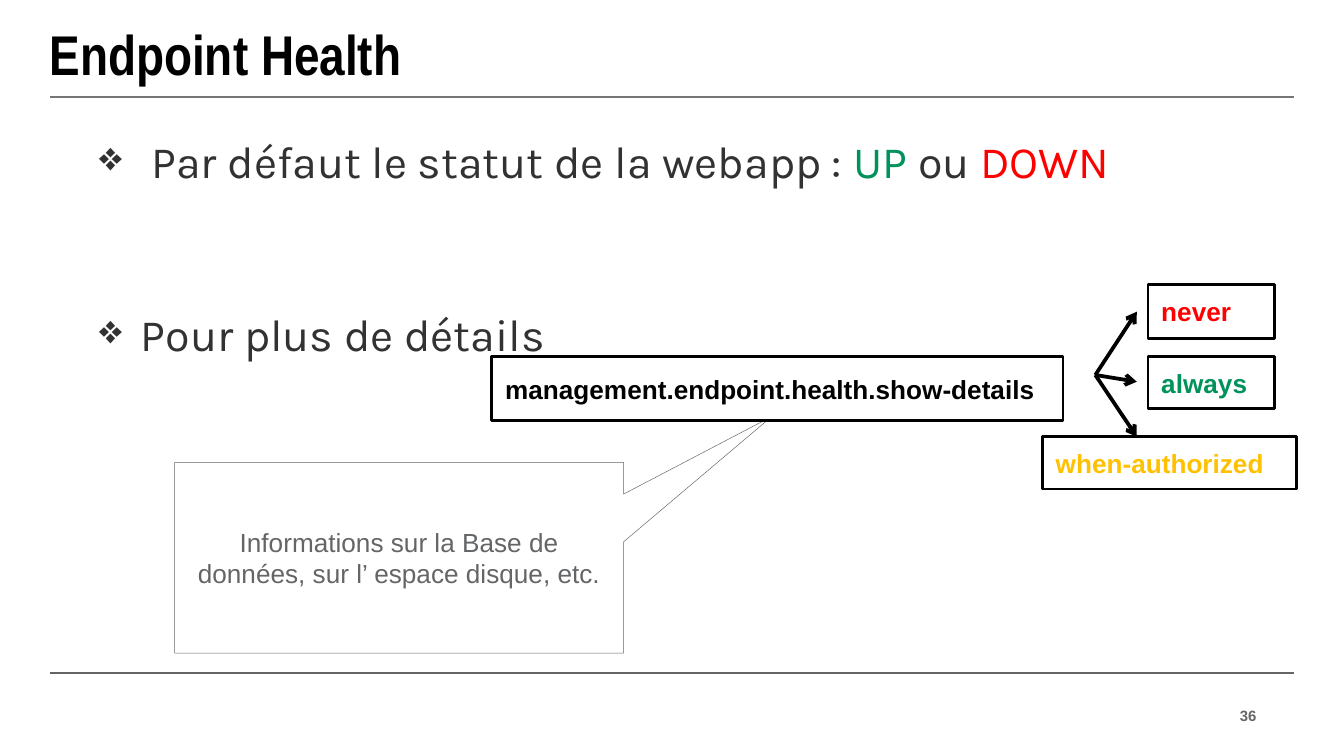
from lxml import etree
from pptx import Presentation
from pptx import util as u
from pptx.dml.color import RGBColor
from pptx.enum import shapes, text
from pptx.oxml.ns import qn

BLACK = RGBColor(0x00, 0x00, 0x00)
WHITE = RGBColor(0xFF, 0xFF, 0xFF)
INK = RGBColor(0x32, 0x32, 0x34)
GREY = RGBColor(0x64, 0x65, 0x67)
RULE_GREY = RGBColor(0x76, 0x76, 0x76)
GREEN = RGBColor(0x00, 0x92, 0x5B)
RED = RGBColor(0xFF, 0x00, 0x00)
AMBER = RGBColor(0xFF, 0xC0, 0x00)

LEFT, RIGHT = 26.6, 693.4


class SlideBuilder:
    body_font = "Karla"
    label_font = "Arial"
    title_font = "Arial Narrow"

    def __init__(self, deck):
        self.slide = deck.slides.add_slide(deck.slide_layouts[5])

    def span(self, para, wording, font, size, color, bold=False):
        run = para.add_run()
        run.text = wording
        run.font.name = font
        run.font.size = u.Pt(size)
        run.font.bold = bold
        run.font.color.rgb = color

    def frame(self, box, margin, wrap=True):
        """Set even margins and middle anchoring; return the first paragraph."""
        frame = box.text_frame
        frame.margin_left = frame.margin_right = u.Pt(margin)
        frame.margin_top = frame.margin_bottom = u.Pt(margin)
        frame.vertical_anchor = text.MSO_ANCHOR.MIDDLE
        frame.auto_size = text.MSO_AUTO_SIZE.NONE
        frame.word_wrap = wrap
        return frame.paragraphs[0]

    def title(self, wording):
        box = self.slide.shapes.title
        box.left, box.top = u.Pt(LEFT), u.Pt(6.5)
        box.width, box.height = u.Pt(RIGHT - LEFT), u.Pt(44)
        para = self.frame(box, 0)
        para.alignment = text.PP_ALIGN.LEFT
        self.span(para, wording, self.title_font, 30, BLACK, bold=True)

    def line(self, start, end, color, width, arrow=False):
        line = self.slide.shapes.add_connector(
            shapes.MSO_CONNECTOR.STRAIGHT, *map(u.Pt, start + end))
        line.line.color.rgb = color
        line.line.width = u.Pt(width)
        if arrow:
            tail = etree.SubElement(line.line._get_or_add_ln(), qn("a:tailEnd"))
            tail.set("type", "arrow")
        etree.SubElement(line._element.spPr, qn("a:effectLst"))

    def box(self, wording, area, color, border=BLACK, width=1.5, bold=True,
            kind=shapes.MSO_SHAPE.RECTANGLE, align=text.PP_ALIGN.LEFT):
        box = self.slide.shapes.add_shape(kind, *map(u.Pt, area))
        box.shadow.inherit = False
        box.fill.solid()
        box.fill.fore_color.rgb = WHITE
        box.line.color.rgb = border
        box.line.width = u.Pt(width)
        para = self.frame(box, 7.2)
        para.alignment = align
        self.span(para, wording, self.label_font, 14, color, bold)
        return box

    def callout(self, wording, area, tip):
        """Draw a callout whose tip is offset from its centre by shares of its size."""
        box = self.box(wording, area, GREY, border=GREY, width=0.25, bold=False,
                       kind=shapes.MSO_SHAPE.RECTANGULAR_CALLOUT,
                       align=text.PP_ALIGN.CENTER)
        box.adjustments[0], box.adjustments[1] = tip

    def bullets(self, area, items, gap):
        """Each item is a list of (wording, colour) pieces."""
        box = self.slide.shapes.add_textbox(*map(u.Pt, area))
        frame = box.text_frame
        frame.word_wrap = True
        for index, pieces in enumerate(items):
            para = frame.add_paragraph() if index else frame.paragraphs[0]
            para.level = 1
            props = para._p.get_or_add_pPr()
            props.set("marL", str(u.Pt(43.2)))
            props.set("indent", str(u.Pt(-22.3)))
            etree.SubElement(props, qn("a:buSzPct")).set("val", "90000")
            etree.SubElement(props, qn("a:buChar")).set("char", "❖")
            if index:
                para.space_before = u.Pt(gap)
            for wording, color in pieces:
                self.span(para, wording, self.body_font, 24, color)

    def page_number(self, number):
        box = self.slide.shapes.add_textbox(*map(u.Pt, (658.8, 378, 14.4, 10.8)))
        para = self.frame(box, 0, wrap=False)
        para.alignment = text.PP_ALIGN.RIGHT
        self.span(para, number, self.label_font, 8, GREY, bold=True)


def main():
    deck = Presentation()
    deck.slide_width, deck.slide_height = u.Pt(720), u.Pt(405)
    page = SlideBuilder(deck)

    page.title("Endpoint Health")
    for height, color in ((360.7, GREY), (52, RULE_GREY)):
        page.line((LEFT, height), (RIGHT, height), color, 1)
    page.page_number("36")

    for tip in ((609, 167), (609, 204.5), (609, 234)):
        page.line((586.8, 200.9), tip, BLACK, 2, arrow=True)

    page.callout("Informations sur la Base de données, sur l’ espace disque, etc.",
                 (93.6, 247.7, 240.5, 102.2), (0.83, -0.74))
    page.bullets((25.2, 68.2, 612, 281.7), [
        [(" Par défaut le statut de la webapp : ", INK), ("UP", GREEN),
         (" ou ", INK), ("DOWN", RED)],
        [("Pour plus de détails", INK)],
    ], gap=64)

    for wording, area, color in (
        ("management.endpoint.health.show-details", (263.5, 191.2, 306, 34), BLACK),
        ("always", (615, 191.2, 68, 27.6), GREEN),
        ("never", (615, 152.5, 68, 28.8), RED),
        ("when-authorized", (558.5, 234, 136, 28), AMBER),
    ):
        page.box(wording, area, color)

    deck.save("out.pptx")


if __name__ == "__main__":
    main()
